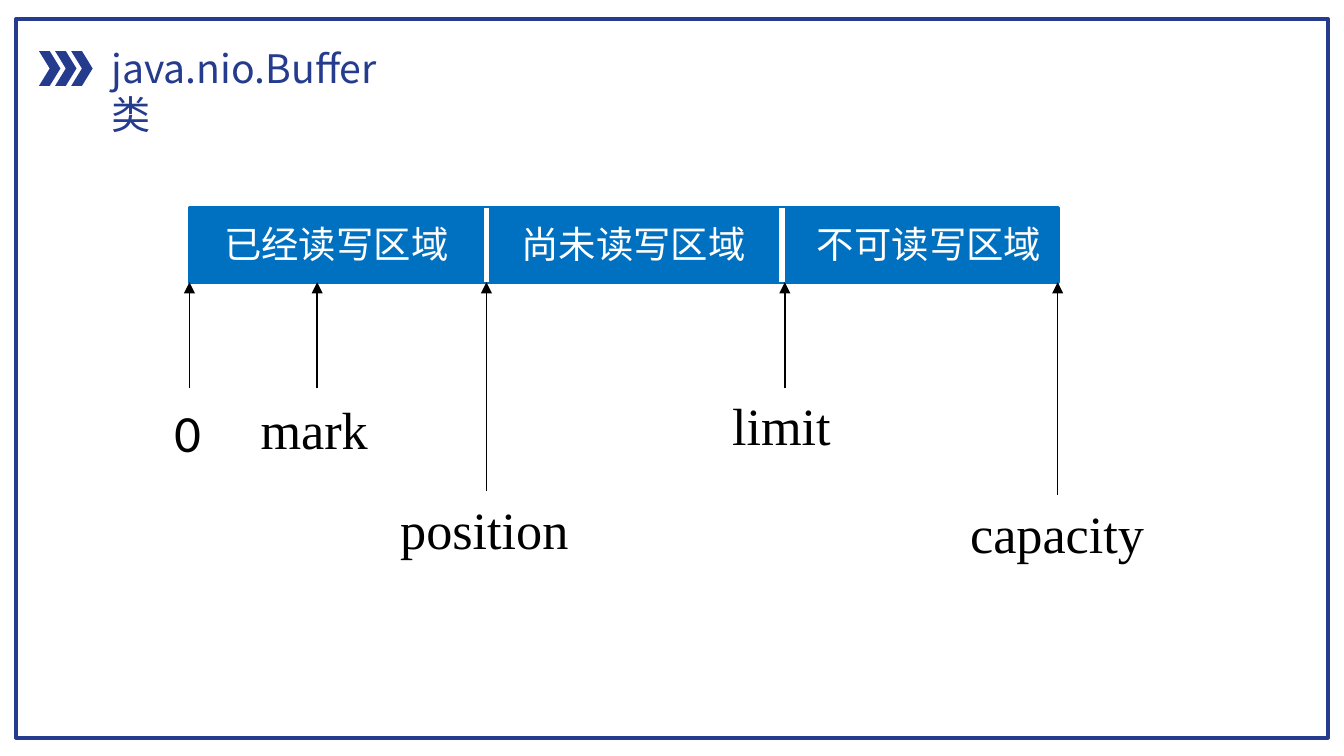
import pptx
import pptx.dml.color
import pptx.enum.shapes
import pptx.enum.text
import pptx.oxml
import pptx.oxml.ns
import pptx.util

Inches, Pt = pptx.util.Inches, pptx.util.Pt
SHAPE = pptx.enum.shapes.MSO_SHAPE
ANCHOR = pptx.enum.text.MSO_ANCHOR

THEME = {
    "navy": "253C8E", "blue": "0070C0", "white": "FFFFFF", "black": "000000",
    "cjk": "Noto Sans CJK SC", "serif": "Times New Roman", "sans": "Calibri",
    "title": 21, "region": 20, "label": 28,
    "frame line": 2, "divider line": 3, "arrow line": 0.75,
}

TITLE = "java.nio.Buffer 类"
BAR = (1.41, 1.55, 6.46, 0.55)
BAR_BOTTOM = BAR[1] + BAR[3]
DIVIDERS = [3.62, 5.82]
# text, left
REGIONS = [("已经读写区域", 1.57), ("尚未读写区域", 3.78), ("不可读写区域", 5.98)]
# text, font, arrow x, arrow start y, label left, top, width
POINTERS = [
    ("0", "sans", 1.41, 2.89, 1.20, 2.93, 0.40),
    ("mark", "serif", 2.36, 2.89, 1.84, 2.91, 1.02),
    ("position", "serif", 3.62, 3.65, 2.88, 3.65, 1.47),
    ("limit", "serif", 5.84, 2.89, 5.35, 2.88, 0.94),
    ("capacity", "serif", 7.87, 3.68, 7.12, 3.68, 1.51),
]


def color(name):
    return pptx.dml.color.RGBColor.from_string(THEME[name])


def add_block(page, kind, area, fill=None, line=None):
    block = page.shapes.add_shape(kind, *map(Inches, area))
    block.shadow.inherit = False
    if fill:
        block.fill.solid()
        block.fill.fore_color.rgb = color(fill)
    else:
        block.fill.background()
    if line:
        block.line.color.rgb = color(line)
        block.line.width = Pt(THEME["frame line"])
    else:
        block.line.fill.background()


def add_text(page, text, area, size, font, ink, line_spacing=None, **frame_format):
    box = page.shapes.add_textbox(*map(Inches, area))
    frame_values = {"word_wrap": False, **frame_format}
    for name, value in frame_values.items():
        setattr(box.text_frame, name, value)
    para = box.text_frame.paragraphs[0]
    para.line_spacing = line_spacing
    span = para.add_run()
    span.text = text
    for name, value in {"size": Pt(THEME[size]), "name": THEME[font]}.items():
        setattr(span.font, name, value)
    span.font.color.rgb = color(ink)
    east_asian = pptx.oxml.parse_xml(
        f'<a:ea {pptx.oxml.ns.nsdecls("a")} typeface="{THEME[font]}"/>')
    span.font._element.find(pptx.oxml.ns.qn("a:latin")).addnext(east_asian)


def add_vertical(page, x, start, end, ink, width, arrow=False):
    line = page.shapes.add_connector(
        pptx.enum.shapes.MSO_CONNECTOR.STRAIGHT,
        Inches(x), Inches(start), Inches(x), Inches(end))
    line.line.color.rgb = color(ink)
    line.line.width = Pt(THEME[width])
    namespace = pptx.oxml.ns.nsdecls("a")
    if arrow:
        line.line._get_or_add_ln().append(
            pptx.oxml.parse_xml(f'<a:tailEnd {namespace} type="triangle"/>'))
    line._element.spPr.append(pptx.oxml.parse_xml(f"<a:effectLst {namespace}/>"))


def main():
    deck = pptx.Presentation()
    deck.slide_width = Inches(10)
    deck.slide_height = deck.slide_width * 9 // 16
    page = deck.slides.add_slide(deck.slide_layouts[6])

    add_block(page, SHAPE.RECTANGLE, (0.12, 0.14, 9.76, 5.35), line="navy")
    for index in range(3):
        add_block(page, SHAPE.CHEVRON, (0.29 + 0.12 * index, 0.38, 0.16, 0.26), fill="navy")
    add_text(page, TITLE, (0.73, 0.28, 2.45, 0.45), "title", "cjk", "navy",
             line_spacing=Pt(25), word_wrap=True)

    add_block(page, SHAPE.FLOWCHART_PROCESS, BAR, fill="blue", line="blue")
    for x in DIVIDERS:
        add_vertical(page, x, BAR_BOTTOM, BAR[1], "white", "divider line")
    for text, left in REGIONS:
        add_text(page, text, (left, 1.59, 1.88, 0.44), "region", "cjk", "white",
                 vertical_anchor=ANCHOR.MIDDLE)

    for text, font, x, start, left, top, width in POINTERS:
        add_vertical(page, x, start, BAR_BOTTOM, "black", "arrow line", arrow=True)
        add_text(page, text, (left, top, width, 0.57), "label", font, "black")

    deck.save("out.pptx")


if __name__ == "__main__":
    main()
